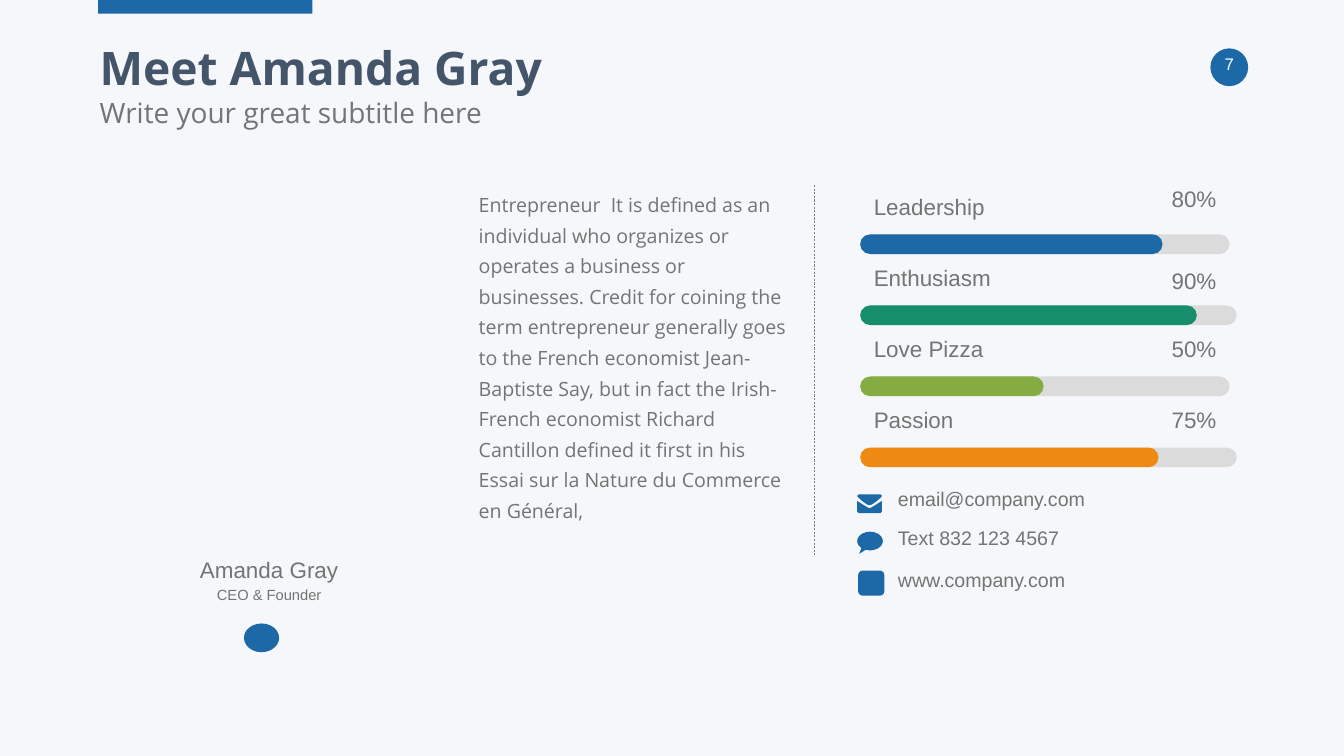
from typing import NamedTuple

from lxml.etree import SubElement
from pptx import Presentation
from pptx.dml.color import RGBColor
from pptx.enum.dml import MSO_LINE
from pptx.enum.shapes import MSO_CONNECTOR, MSO_SHAPE as Preset
from pptx.enum.text import PP_ALIGN as Align
from pptx.oxml.ns import qn
from pptx.util import Inches, Pt

BACKGROUND = RGBColor(0xF6, 0xF7, 0xFA)
BLUE = RGBColor(0x1D, 0x68, 0xA6)
GREEN = RGBColor(0x17, 0x8E, 0x6B)
LIME = RGBColor(0x84, 0xAC, 0x40)
ORANGE = RGBColor(0xEE, 0x8A, 0x12)
TRACK = RGBColor(0xDB, 0xDB, 0xDB)
NAVY = RGBColor(0x44, 0x54, 0x69)
GRAY = RGBColor(0x73, 0x75, 0x72)
DIVIDER = RGBColor(0x80, 0x80, 0x80)
WHITE = RGBColor(0xFF, 0xFF, 0xFF)

deck = Presentation()
deck.slide_width, deck.slide_height = Inches(26.67), Inches(15)
COLUMN, ROW = deck.slide_width / 100, deck.slide_height / 100
slide = deck.slides.add_slide(deck.slide_layouts[6])
slide.background.fill.solid()
slide.background.fill.fore_color.rgb = BACKGROUND


class Area(NamedTuple):
    col: float
    row: float
    cols: float
    rows: float

    def emu(self) -> tuple[int, int, int, int]:
        return (round(self.col * COLUMN), round(self.row * ROW),
                round(self.cols * COLUMN), round(self.rows * ROW))


class Style(NamedTuple):
    font: dict
    color: RGBColor = GRAY
    paragraph: dict = {}
    frame: dict = {}


class Skill(NamedTuple):
    label: str
    percent: str
    color: RGBColor
    filled_cols: float
    track_cols: float
    percent_shift: float


class Contact(NamedTuple):
    text: str
    row: float


PADDED = {"margin_left": Inches(0.27), "margin_right": Inches(0.27),
          "margin_top": Inches(0.13), "margin_bottom": Inches(0.13)}
CENTERED = {"alignment": Align.CENTER}
PAGE = Style({"name": "Arial", "size": Pt(24)}, WHITE, CENTERED)
TITLE = Style({"name": "Open Sans", "size": Pt(66), "bold": True}, NAVY)
SUBTITLE = Style({"name": "Open Sans", "size": Pt(40)})
BIOGRAPHY = Style({"name": "Open Sans", "size": Pt(28)}, paragraph={"line_spacing": 1.3})
PERSON = Style({"name": "Arial", "size": Pt(32)}, paragraph=CENTERED)
ROLE = Style({"name": "Arial", "size": Pt(21)}, paragraph=CENTERED)
SKILL = Style({"name": "Arial", "size": Pt(32)}, frame=PADDED)
CONTACT = Style({"name": "Arial", "size": Pt(28)}, frame=PADDED)


def apply(target: object, values: dict) -> None:
    for key, value in values.items():
        setattr(target, key, value)


def paint(shape, color: RGBColor) -> None:
    shape.shadow.inherit = False
    shape.fill.solid()
    shape.fill.fore_color.rgb = color
    shape.line.fill.background()


def draw_shape(preset: Preset, area: Area, color: RGBColor, *adjustments: float) -> None:
    shape = slide.shapes.add_shape(preset, *area.emu())
    for index, value in enumerate(adjustments):
        shape.adjustments[index] = value
    paint(shape, color)


def draw_text(text: str, area: Area, style: Style) -> None:
    frame = slide.shapes.add_textbox(*area.emu()).text_frame
    apply(frame, {"word_wrap": True, **style.frame})
    paragraph = frame.paragraphs[0]
    apply(paragraph, style.paragraph)
    run = paragraph.add_run()
    run.text = text
    apply(run.font, style.font)
    run.font.color.rgb = style.color


def draw_envelope(area: Area, color: RGBColor) -> None:
    pocket = [(0, 35), (30, 60), (44, 71), (50, 73), (56, 71), (70, 60), (100, 35),
              (100, 92), (94, 100), (6, 100), (0, 92)]
    flap = [(6, 0), (94, 0), (100, 8), (96, 16), (80, 35), (60, 54), (50, 57),
            (40, 54), (20, 35), (4, 16), (0, 8)]
    left, top, width, height = area.emu()
    outline = slide.shapes.build_freeform(*pocket[0], scale=(width / 100, height / 100))
    outline.add_line_segments(pocket[1:])
    outline.move_to(*flap[0])
    outline.add_line_segments(flap[1:])
    paint(outline.convert_to_shape(left, top), color)


def draw_divider(col: float, first_row: float, last_row: float) -> None:
    x, top, _, height = Area(col, first_row, 0, last_row - first_row).emu()
    divider = slide.shapes.add_connector(MSO_CONNECTOR.STRAIGHT, x, top, x, top + height)
    divider.line.color.rgb = DIVIDER
    apply(divider.line, {"width": Pt(0.75), "dash_style": MSO_LINE.DASH})
    SubElement(divider._element.spPr, qn("a:effectLst"))


def draw_skill(skill: Skill, bar_row: float) -> None:
    bar_rows = 2.6
    label_row = bar_row - 6.33
    draw_shape(Preset.ROUNDED_RECTANGLE,
               Area(64.42, bar_row, skill.track_cols, bar_rows), TRACK, 0.5)
    draw_shape(Preset.ROUNDED_RECTANGLE,
               Area(64, bar_row, skill.filled_cols, bar_rows), skill.color, 0.5)
    draw_text(skill.label, Area(64, label_row, 28, 5.4), SKILL)
    draw_text(skill.percent,
              Area(86.16, label_row + skill.percent_shift, 6.22, 5.4), SKILL)


SKILLS = [
    Skill("Leadership", "80%", BLUE, 22.5, 27.07, -1),
    Skill("Enthusiasm", "90%", GREEN, 25.05, 27.6, 0.33),
    Skill("Love Pizza", "50%", LIME, 13.65, 27.07, 0),
    Skill("Passion", "75%", ORANGE, 22.2, 27.6, 0),
]
CONTACTS = [
    Contact("email@company.com", 63.6),
    Contact("Text 832 123 4567", 68.73),
    Contact("www.company.com", 74.2),
]
BIOGRAPHY_TEXT = (
    "Entrepreneur  It is defined as an individual who organizes or operates a business "
    "or businesses. Credit for coining the term entrepreneur generally goes to the French "
    "economist Jean-Baptiste Say, but in fact the Irish-French economist Richard "
    "Cantillon defined it first in his Essai sur la Nature du Commerce en Général,"
)

draw_shape(Preset.OVAL, Area(90.06, 6.4, 2.81, 5), BLUE)
draw_text("7", Area(89.28, 6.8, 4.39, 5.33), PAGE)
draw_shape(Preset.RECTANGLE, Area(7.31, 0, 15.94, 1.8), BLUE)

draw_text("Amanda Gray", Area(12.94, 73.27, 14.17, 4.27), PERSON)
draw_text("CEO & Founder", Area(12.94, 77.13, 14.17, 3), ROLE)
draw_shape(Preset.OVAL, Area(18.15, 82.47, 2.62, 3.8), BLUE)

draw_text("Meet Amanda Gray", Area(7.05, 4.93, 85.86, 8.27), TITLE)
draw_text("Write your great subtitle here", Area(7.05, 12.27, 85.86, 6.2), SUBTITLE)
draw_text(BIOGRAPHY_TEXT, Area(35.25, 24.27, 23.62, 57.13), BIOGRAPHY)

for position, skill in enumerate(SKILLS):
    draw_skill(skill, 31 + 9.4 * position)

for contact in CONTACTS:
    draw_text(contact.text, Area(65.8, contact.row, 26.21, 6.5), CONTACT)
draw_envelope(Area(63.78, 65.4, 1.84, 2.47), BLUE)
draw_shape(Preset.OVAL_CALLOUT, Area(63.78, 70.33, 1.91, 2.47), BLUE, -0.42, 0.69)
draw_shape(Preset.ROUNDED_RECTANGLE, Area(63.85, 75.47, 1.95, 3.33), BLUE, 0.18)

draw_divider(60.55, 24.47, 73.53)

deck.save("out.pptx")
